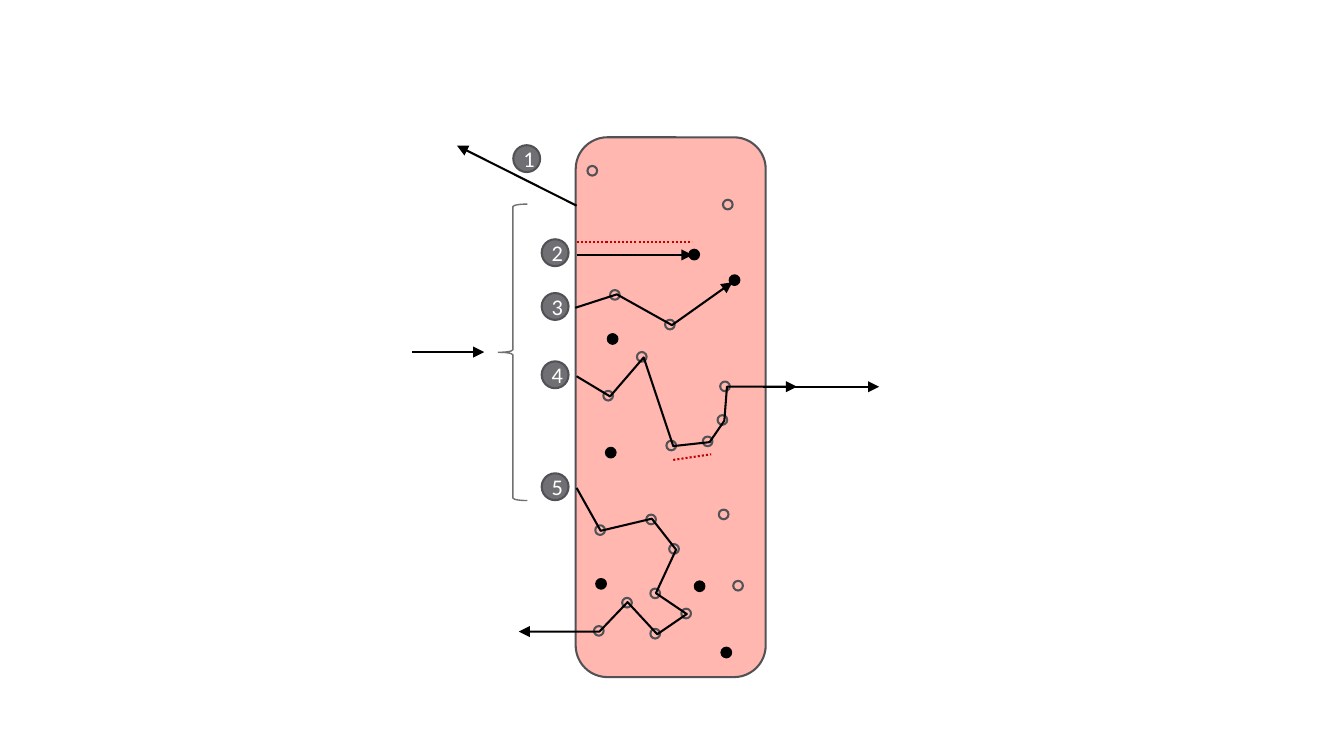
import pptx
import pptx.dml.color
import pptx.enum.dml
import pptx.enum.shapes
import pptx.enum.text
import pptx.oxml
import pptx.oxml.ns
import pptx.util

Pt = pptx.util.Pt
RGBColor = pptx.dml.color.RGBColor
SHAPE = pptx.enum.shapes.MSO_SHAPE

PINK = RGBColor(0xFF, 0xB7, 0xB0)
OUTLINE = RGBColor(0x52, 0x52, 0x56)
GREY = RGBColor(0x6F, 0x6F, 0x74)
RED = RGBColor(0xC0, 0x00, 0x00)
BLACK = RGBColor(0x00, 0x00, 0x00)
WHITE = RGBColor(0xFF, 0xFF, 0xFF)

LINE_WIDTH = 1.1
PARTICLE_SIZE = 5.2
BADGE_SIZE = 14.4

# Particle centres in the layer
SCATTERERS = [
    (317.3, 91.5), (389.9, 109.6), (329.4, 158), (358.9, 173.9),
    (343.8, 191.2), (325.8, 212), (388.4, 207), (387, 225),
    (379.1, 236.5), (359.6, 238.7), (321.5, 284), (348.8, 278.3),
    (361.1, 294.1), (351, 317.9), (367.6, 328.7), (351, 339.5),
    (335.9, 322.9), (320.8, 338), (387.7, 275.6), (395.4, 313.8),
]
ABSORBERS = [
    (371.9, 136.4), (393.5, 150.1), (328.2, 181.6), (327.2, 242.5),
    (322, 312.8), (374.8, 314.1), (389.1, 349.6),
]

# Scattered ray paths, each ending in an arrowhead
SCATTERED_RAYS = [
    [(308.2, 164.9), (330.5, 157.7), (360, 174.2), (392.4, 151.2)],
    [(308.9, 201.6), (326.9, 212.4), (344.9, 191.5), (360.7, 239),
     (380.2, 236.9), (388.1, 225.4), (389.5, 207.2), (427, 207.2)],
    [(308.9, 261.4), (321.8, 284.4), (349.2, 277.9), (362.2, 294.5),
     (351.4, 317.8), (367.9, 329), (352.1, 339.8), (336.2, 322.6),
     (321.1, 338.4), (277.9, 338.4)],
]
STRAIGHT_RAYS = [
    ((308.9, 110.2), (244.8, 78)),     # reflected
    ((308.9, 136.6), (371, 136.6)),    # absorbed
    ((220.8, 188.6), (259.4, 188.6)),  # incident
    ((409, 207.2), (471, 207.2)),      # transmitted
]
DOTTED_MARKS = [
    ((308.9, 129.8), (370.8, 129.8)),
    ((360.7, 246.4), (381, 243.4)),
]
BADGES = [(282.2, 85), (297.4, 135.4), (297.4, 164.2), (297.4, 200.8), (297.4, 260.8)]


def style_line(shape, color, width=LINE_WIDTH):
    shape.line.color.rgb = color
    shape.line.width = Pt(width)


def add_arrowhead(shape):
    tail = pptx.oxml.parse_xml(
        f'<a:tailEnd {pptx.oxml.ns.nsdecls("a")} type="triangle"/>')
    shape.line._get_or_add_ln().append(tail)


def add_outlined(slide, kind, left, top, width, height, fill, line, line_width=LINE_WIDTH):
    shape = slide.shapes.add_shape(kind, Pt(left), Pt(top), Pt(width), Pt(height))
    shape.shadow.inherit = False
    if fill is None:
        shape.fill.background()
    else:
        shape.fill.solid()
        shape.fill.fore_color.rgb = fill
    style_line(shape, line, line_width)
    return shape


def add_circle(slide, center, size, fill, line):
    x, y = center
    return add_outlined(slide, SHAPE.OVAL, x - size / 2, y - size / 2, size, size, fill, line)


def add_badge(slide, center, number):
    badge = add_circle(slide, center, BADGE_SIZE, GREY, OUTLINE)
    frame = badge.text_frame
    frame.word_wrap = False
    frame.vertical_anchor = pptx.enum.text.MSO_ANCHOR.MIDDLE
    frame.margin_left = Pt(2.5)
    frame.margin_right = frame.margin_top = frame.margin_bottom = 0
    paragraph = frame.paragraphs[0]
    paragraph.text = str(number)
    paragraph.alignment = pptx.enum.text.PP_ALIGN.CENTER
    paragraph.font.name = "Calibri"
    paragraph.font.size = Pt(12)
    paragraph.font.color.rgb = WHITE


def add_straight(slide, start, end, color):
    connector = slide.shapes.add_connector(
        pptx.enum.shapes.MSO_CONNECTOR.STRAIGHT, *(Pt(value) for value in start + end))
    style_line(connector, color)
    connector._element.spPr.append(
        pptx.oxml.parse_xml(f'<a:effectLst {pptx.oxml.ns.nsdecls("a")}/>'))
    return connector


def add_scattered_ray(slide, points):
    vertices = [(Pt(x), Pt(y)) for x, y in points]
    builder = slide.shapes.build_freeform(*vertices[0])
    builder.add_line_segments(vertices[1:], close=False)
    ray = builder.convert_to_shape()
    ray.shadow.inherit = False
    ray.fill.background()
    style_line(ray, BLACK)
    add_arrowhead(ray)


def main():
    presentation = pptx.Presentation()
    presentation.slide_width = Pt(720)
    presentation.slide_height = Pt(405)
    slide = presentation.slides.add_slide(presentation.slide_layouts[6])

    # Layer and the brace gathering the incident rays
    add_outlined(slide, SHAPE.ROUNDED_RECTANGLE, 308.4, 73.6, 101.8, 289.2, PINK, OUTLINE)
    add_outlined(slide, SHAPE.LEFT_BRACE, 267, 109.4, 15.6, 158.8, None, GREY, 0.75)

    # Particles
    for center in SCATTERERS:
        add_circle(slide, center, PARTICLE_SIZE, None, OUTLINE)
    for center in ABSORBERS:
        add_circle(slide, center, PARTICLE_SIZE, BLACK, BLACK)

    # Rays
    for start, end in STRAIGHT_RAYS:
        add_arrowhead(add_straight(slide, start, end, BLACK))
    for points in SCATTERED_RAYS:
        add_scattered_ray(slide, points)

    # Dotted path marks
    for start, end in DOTTED_MARKS:
        mark = add_straight(slide, start, end, RED)
        mark.line.dash_style = pptx.enum.dml.MSO_LINE.ROUND_DOT

    # Numbered badges
    for number, center in enumerate(BADGES, start=1):
        add_badge(slide, center, number)

    presentation.save("out.pptx")


if __name__ == "__main__":
    main()
